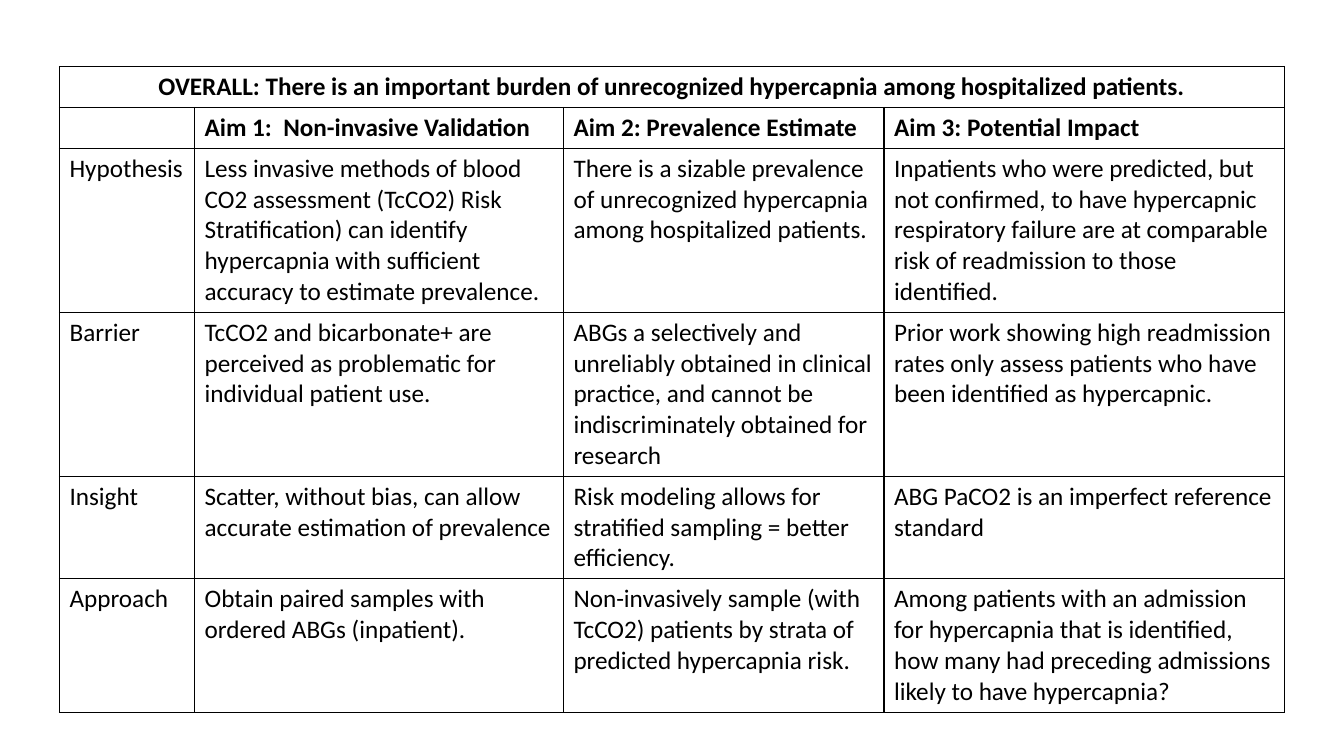
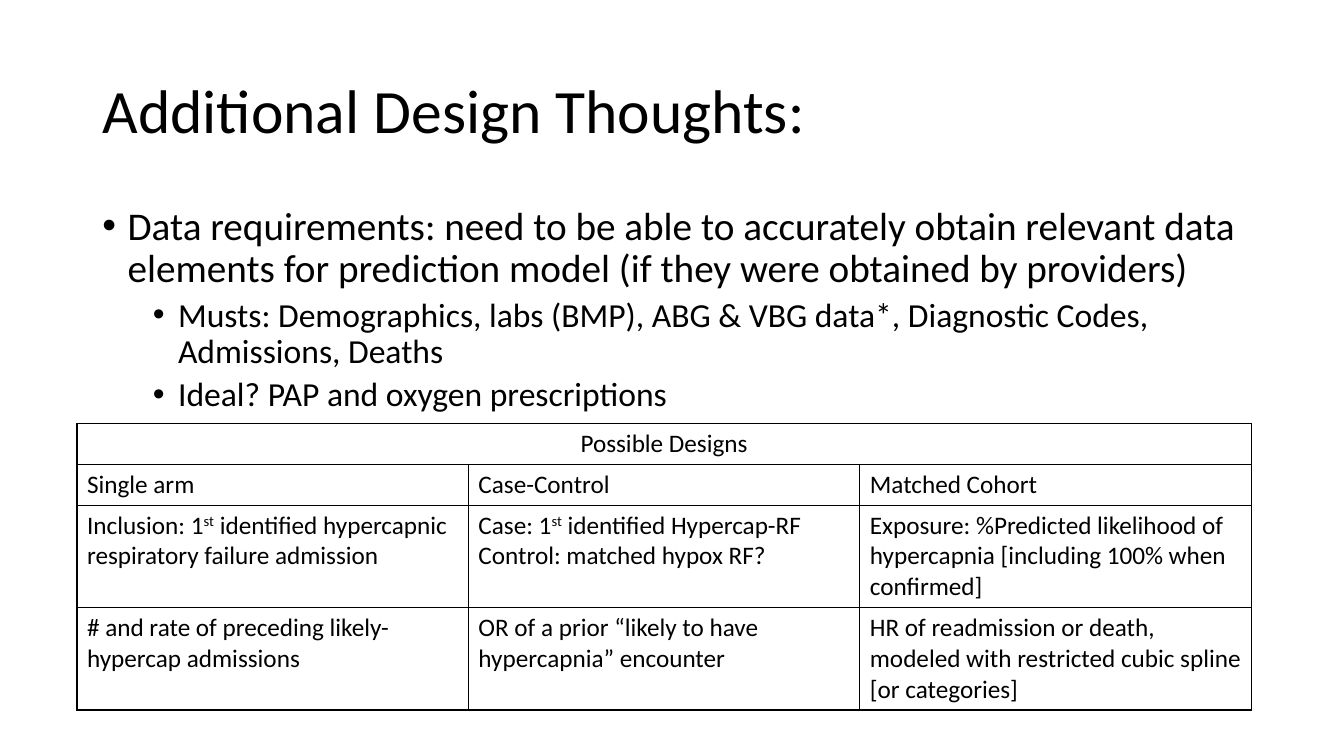
from lxml import etree
from pptx import Presentation
from pptx.dml.color import RGBColor
from pptx.enum import text
from pptx.oxml import ns
from pptx.util import Pt

BLACK = RGBColor(0x00, 0x00, 0x00)
FONT = "Calibri"
LAYOUT_CONTENT, LAYOUT_BLANK = 1, 6

AIMS = [
    ["OVERALL: There is an important burden of unrecognized hypercapnia among hospitalized patients."],
    ["", "Aim 1:  Non-invasive Validation", "Aim 2: Prevalence Estimate", "Aim 3: Potential Impact"],
    ["Hypothesis",
     "Less invasive methods of blood CO2 assessment (TcCO2) Risk Stratification) can identify "
     "hypercapnia with sufficient accuracy to estimate prevalence.",
     "There is a sizable prevalence of unrecognized hypercapnia among hospitalized patients.",
     "Inpatients who were predicted, but not confirmed, to have hypercapnic respiratory failure "
     "are at comparable risk of readmission to those identified."],
    ["Barrier",
     "TcCO2 and bicarbonate+ are perceived as problematic for individual patient use.",
     "ABGs a selectively and unreliably obtained in clinical practice, and cannot be "
     "indiscriminately obtained for research",
     "Prior work showing high readmission rates only assess patients who have been identified "
     "as hypercapnic."],
    ["Insight",
     "Scatter, without bias, can allow accurate estimation of prevalence",
     "Risk modeling allows for stratified sampling = better efficiency.",
     "ABG PaCO2 is an imperfect reference standard"],
    ["Approach",
     "Obtain paired samples with ordered ABGs (inpatient).",
     "Non-invasively sample (with TcCO2) patients by strata of predicted hypercapnia risk.",
     "Among patients with an admission for hypercapnia that is identified, how many had "
     "preceding admissions likely to have hypercapnia?"],
]

REQUIREMENTS = [
    (0, "Data requirements: need to be able to accurately obtain relevant data elements for "
        "prediction model (if they were obtained by providers)"),
    (1, "Musts: Demographics, labs (BMP), ABG & VBG data*, Diagnostic Codes, Admissions, Deaths"),
    (1, "Ideal? PAP and oxygen prescriptions"),
]

DESIGNS = [
    ["Possible Designs"],
    ["Single arm", "Case-Control", "Matched Cohort"],
    ["Inclusion: 1^st^ identified hypercapnic respiratory failure admission",
     "Case: 1^st^ identified Hypercap-RF\nControl: matched hypox RF?",
     "Exposure: %Predicted likelihood of hypercapnia [including 100% when confirmed]"],
    ["# and rate of preceding likely-hypercap admissions",
     "OR of a prior “likely to have hypercapnia” encounter",
     "HR of readmission or death, modeled with restricted cubic spline [or categories]"],
]


class Deck:
    TITLE_SIZE, CELL_SIZE = 44, 18
    LIST_SIZES, LIST_SPACING, LIST_INDENTS = (28, 24), (10, 5), (18, 54)
    HANGING = 18
    LINE_SPACING = 0.9
    CELL_LINE, CELL_PADDING = 22, 7.2

    def __init__(self):
        self.presentation = Presentation()
        self.presentation.slide_width = Pt(960)
        self.presentation.slide_height = Pt(540)
        self.slide = None

    def add_slide(self, layout):
        self.slide = self.presentation.slides.add_slide(self.presentation.slide_layouts[layout])

    def style(self, font, size, bold=False):
        font.name, font.size, font.bold = FONT, Pt(size), bold
        font.color.rgb = BLACK

    def place(self, holder, left, top, width, height):
        holder.left, holder.top = Pt(left), Pt(top)
        holder.width, holder.height = Pt(width), Pt(height)
        holder.text_frame.auto_size = text.MSO_AUTO_SIZE.NONE
        return holder.text_frame

    def title(self, words, *box):
        frame = self.place(self.slide.shapes.title, *box)
        frame.vertical_anchor = text.MSO_ANCHOR.MIDDLE
        frame.text = words
        heading = frame.paragraphs[0]
        heading.alignment = text.PP_ALIGN.LEFT
        heading.line_spacing = self.LINE_SPACING
        self.style(heading.runs[0].font, self.TITLE_SIZE)

    def bullets(self, items, *box):
        frame = self.place(self.slide.placeholders[1], *box)
        frame.text = "\n".join(words for _, words in items)
        for index, (paragraph, (level, _)) in enumerate(zip(frame.paragraphs, items)):
            paragraph.level = level
            properties = paragraph._p.get_or_add_pPr()
            properties.set("marL", str(Pt(self.LIST_INDENTS[level])))
            properties.set("indent", str(Pt(-self.HANGING)))
            etree.SubElement(properties, ns.qn("a:buFont"), typeface="Arial")
            etree.SubElement(properties, ns.qn("a:buChar"), char="•")
            paragraph.line_spacing = self.LINE_SPACING
            paragraph.space_before = Pt(self.LIST_SPACING[level] if index else 0)
            self.style(paragraph.runs[0].font, self.LIST_SIZES[level])

    def border(self, cell):
        properties = cell._tc.get_or_add_tcPr()
        for side in ("lnL", "lnR", "lnT", "lnB"):
            line = etree.SubElement(properties, ns.qn(f"a:{side}"), w=str(Pt(1)))
            fill = etree.SubElement(line, ns.qn("a:solidFill"))
            etree.SubElement(fill, ns.qn("a:srgbClr"), val=str(BLACK))
        cell.fill.background()

    def write_cell(self, cell, words, bold):
        cell.text = words.replace("^", "")
        for paragraph, line in zip(cell.text_frame.paragraphs, words.split("\n")):
            paragraph.font.size = Pt(self.CELL_SIZE)
            if "^" in line:
                paragraph.clear()
                for index, part in enumerate(line.split("^")):
                    run = paragraph.add_run()
                    run.text = part
                    if index % 2:
                        run._r.get_or_add_rPr().set("baseline", "30000")
            for run in paragraph.runs:
                self.style(run.font, self.CELL_SIZE, bold)

    def table(self, rows, left, top, widths, line_counts, bold_rows=0):
        heights = [self.CELL_PADDING + self.CELL_LINE * count for count in line_counts]
        grid = self.slide.shapes.add_table(
            len(rows), len(widths), Pt(left), Pt(top), Pt(sum(widths)), Pt(sum(heights))).table
        grid.first_row = grid.horz_banding = False
        for column, width in zip(grid.columns, widths):
            column.width = Pt(width)
        for row, height in zip(grid.rows, heights):
            row.height = Pt(height)
        for cell in (cell for row in grid.rows for cell in row.cells):
            self.border(cell)
        for r, entries in enumerate(rows):
            for c, words in enumerate(entries):
                self.write_cell(grid.cell(r, c), words, r < bold_rows)
        heading = grid.cell(0, 0)
        heading.merge(grid.cell(0, len(widths) - 1))
        heading.text_frame.paragraphs[0].alignment = text.PP_ALIGN.CENTER


def main():
    deck = Deck()

    deck.add_slide(LAYOUT_BLANK)
    deck.table(AIMS, 42.5, 47.5, (96.5, 263.5, 229, 286), (1, 1, 5, 5, 3, 4), bold_rows=2)

    deck.add_slide(LAYOUT_CONTENT)
    deck.title("Additional Design Thoughts:", 66, 28.75, 828, 104.4)
    deck.bullets(REQUIREMENTS, 66, 143.75, 828, 342.6)
    deck.table(DESIGNS, 55, 302.4, (279.6,) * 3, (1, 1, 3, 3))

    deck.presentation.save("out.pptx")


if __name__ == "__main__":
    main()
